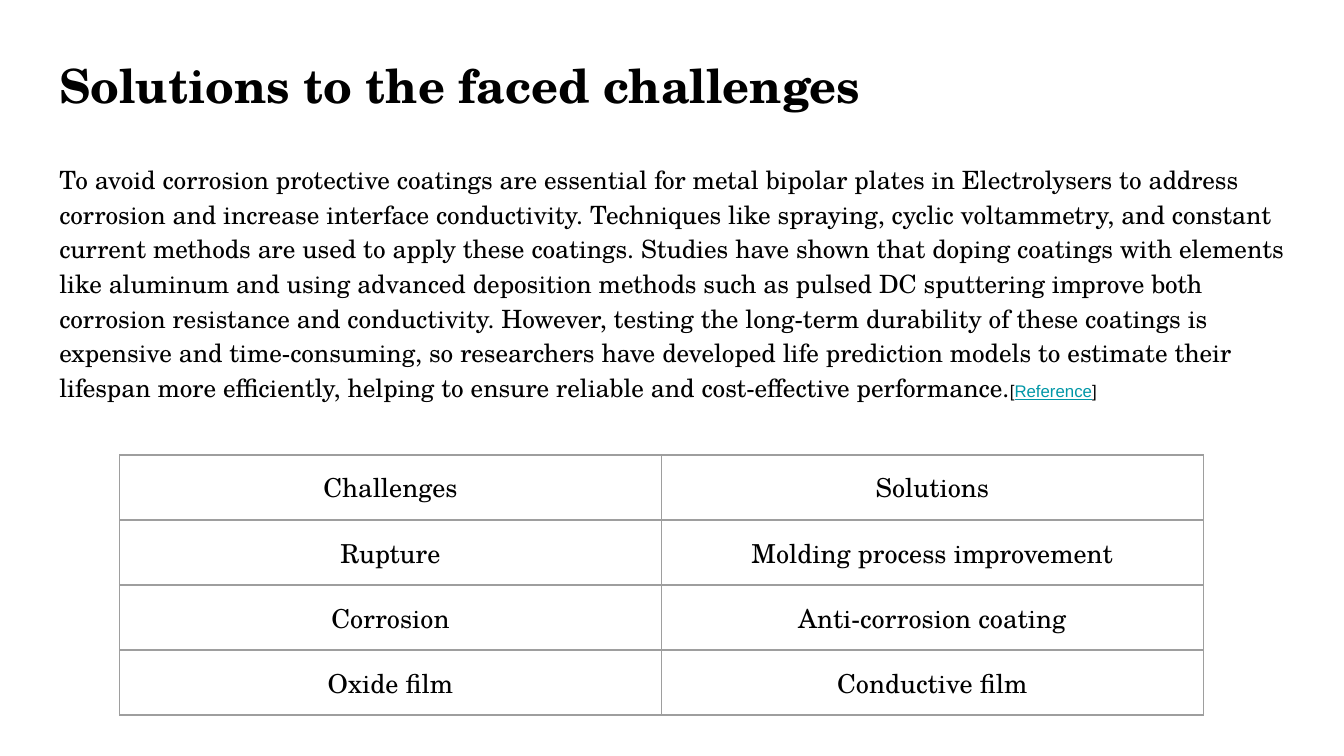
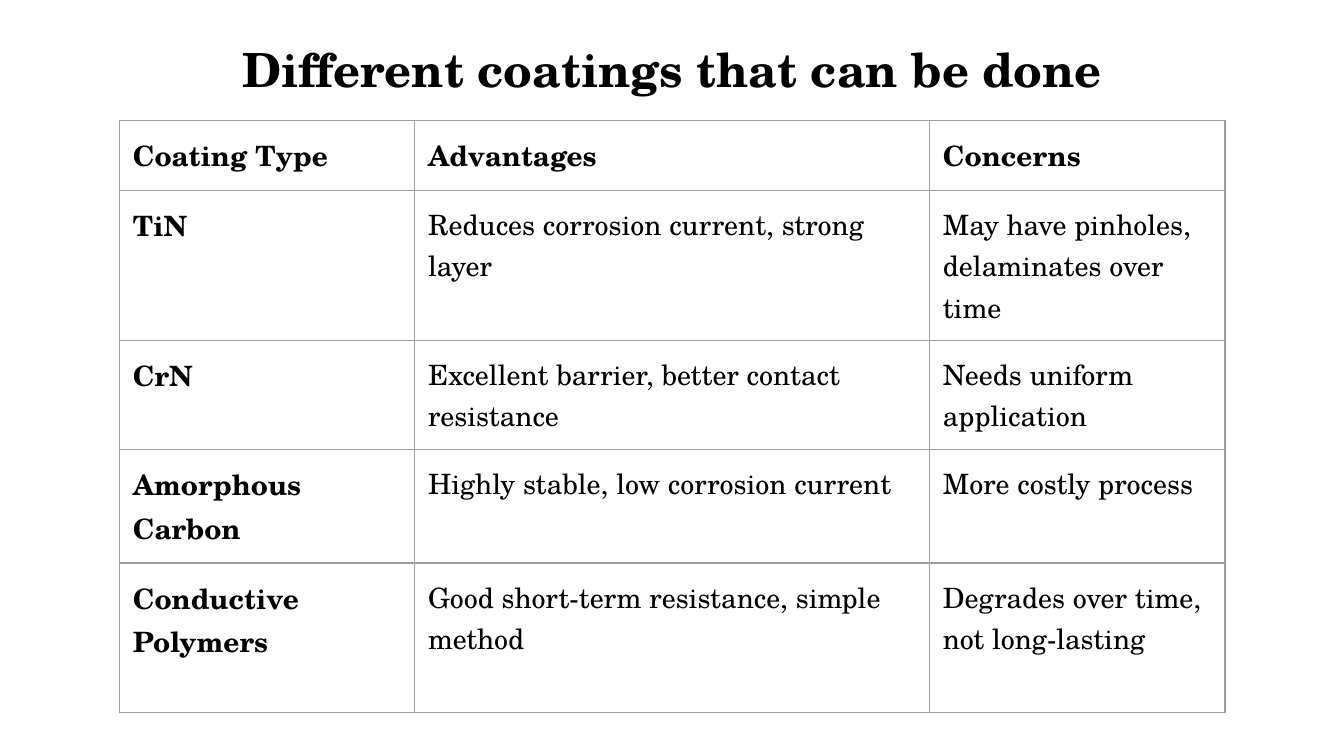
from dataclasses import dataclass

from lxml.etree import SubElement
from pptx import Presentation
from pptx.dml.color import RGBColor
from pptx.enum.text import MSO_ANCHOR, MSO_AUTO_SIZE, PP_ALIGN
from pptx.oxml.ns import qn
from pptx.util import Cm, Pt

# Shared look
BLACK = RGBColor(0x00, 0x00, 0x00)
TEAL = RGBColor(0x00, 0x97, 0xA7)
GREY = RGBColor(0x9E, 0x9E, 0x9E)
SERIF, SANS = "TeX Gyre Schola", "Arial"
INSET = Cm(0.25)
LEFT, WIDTH = Cm(0.87), Cm(23.67)
SIDES = ("a:lnL", "a:lnR", "a:lnT", "a:lnB")

# Wording
COATING = (
    "To avoid corrosion protective coatings are essential for metal bipolar plates "
    "in Electrolysers to address corrosion and increase interface conductivity. "
    "Techniques like spraying, cyclic voltammetry, and constant current methods are "
    "used to apply these coatings. Studies have shown that doping coatings with "
    "elements like aluminum and using advanced deposition methods such as pulsed DC "
    "sputtering improve both corrosion resistance and conductivity. However, testing "
    "the long-term durability of these coatings is expensive and time-consuming, so "
    "researchers have developed life prediction models to estimate their lifespan "
    "more efficiently, helping to ensure reliable and cost-effective performance."
)


@dataclass(frozen=True)
class Grid:
    top: float
    cols: tuple[float, ...]
    rows: tuple[float, ...]
    cells: tuple[tuple[str, ...], ...]
    size: float
    align: PP_ALIGN = PP_ALIGN.LEFT
    heads: bool = False  # bold first row and column


FIXES = Grid(
    8.6, (10.24, 10.24), (0.99, 0.99, 1.09, 1.09),
    (
        ("Challenges", "Solutions"),
        ("Rupture", "Molding process improvement"),
        ("Corrosion", "Anti-corrosion coating"),
        ("Oxide film", "Conductive film"),
    ),
    14, PP_ALIGN.CENTER,
)
TYPES = Grid(
    2.28, (5.58, 9.73, 5.58), (1.32, 2.82, 2.06, 2.06, 2.82),
    (
        ("Coating Type", "Advantages", "Concerns"),
        ("TiN", "Reduces corrosion current, strong layer",
         "May have pinholes, delaminates over time"),
        ("CrN", "Excellent barrier, better contact resistance",
         "Needs uniform application"),
        ("Amorphous Carbon", "Highly stable, low corrosion current",
         "More costly process"),
        ("Conductive Polymers", "Good short-term resistance, simple method",
         "Degrades over time, not long-lasting"),
    ),
    15, heads=True,
)


def style(run, size: float, bold: bool = False, face: str = SERIF,
          color: RGBColor = BLACK) -> None:
    font = run.font
    font.size, font.bold, font.name = Pt(size), bold, face
    font.color.rgb = color


def pad(item) -> None:
    item.margin_left = item.margin_right = INSET
    item.margin_top = item.margin_bottom = INSET
    item.vertical_anchor = MSO_ANCHOR.TOP


def place(shape, top: float, height: float):
    """Move a placeholder and return its text frame."""
    shape.left, shape.top = LEFT, Cm(top)
    shape.width, shape.height = WIDTH, Cm(height)
    frame = shape.text_frame
    pad(frame)
    frame.word_wrap, frame.auto_size = True, MSO_AUTO_SIZE.NONE
    return frame


def add_title(slide, text: str, top: float, align: PP_ALIGN) -> None:
    frame = place(slide.shapes.title, top, 1.6)
    frame.text = text
    para = frame.paragraphs[0]
    para.alignment, para.line_spacing = align, 1.0
    style(para.runs[0], 25.2, bold=True)


def add_body(slide) -> None:
    para = place(slide.placeholders[1], 2.77, 9.5).paragraphs[0]
    para.line_spacing, para.space_before = 1.15, Pt(0)
    props = para._p.get_or_add_pPr()
    props.set("marL", "0")
    props.set("indent", "0")
    SubElement(props, qn("a:buNone"))
    for text in (COATING, "[", "Reference", "]"):
        run = para.add_run()
        run.text = text
        if text == COATING:
            style(run, 13.5)
        else:
            style(run, 9, face=SANS)
        if text == "Reference":
            run.font.underline = True
            run.font.color.rgb = TEAL


def add_rules(cell) -> None:
    """Draw the four borders of a cell."""
    props = cell._tc.get_or_add_tcPr()
    for spot, side in enumerate(SIDES):
        line = SubElement(props, qn(side), w=str(Pt(0.75)))
        fill = SubElement(line, qn("a:solidFill"))
        SubElement(fill, qn("a:srgbClr"), val=str(GREY))
        props.insert(spot, line)


def add_grid(slide, grid: Grid) -> None:
    table = slide.shapes.add_table(
        len(grid.rows), len(grid.cols), Cm(2.26), Cm(grid.top),
        Cm(sum(grid.cols)), Cm(sum(grid.rows)),
    ).table
    table.first_row = table.horz_banding = False
    for col, width in zip(table.columns, grid.cols):
        col.width = Cm(width)
    for row, height in zip(table.rows, grid.rows):
        row.height = Cm(height)
    for r, words in enumerate(grid.cells):
        for c, text in enumerate(words):
            cell = table.cell(r, c)
            cell.text_frame.text = text
            pad(cell)
            cell.fill.background()
            add_rules(cell)
            para = cell.text_frame.paragraphs[0]
            para.alignment = grid.align
            style(para.runs[0], grid.size, bold=grid.heads and 0 in (r, c))


def main() -> None:
    deck = Presentation()
    deck.slide_width, deck.slide_height = Cm(25.4), Cm(14.29)

    # Challenges and solutions
    slide = deck.slides.add_slide(deck.slide_layouts[1])
    add_title(slide, "Solutions to the faced challenges", 0.81, PP_ALIGN.LEFT)
    add_body(slide)
    add_grid(slide, FIXES)

    # Coating types
    slide = deck.slides.add_slide(deck.slide_layouts[5])
    add_title(slide, "Different coatings that can be done", 0.51, PP_ALIGN.CENTER)
    add_grid(slide, TYPES)

    deck.save("out.pptx")


if __name__ == "__main__":
    main()
